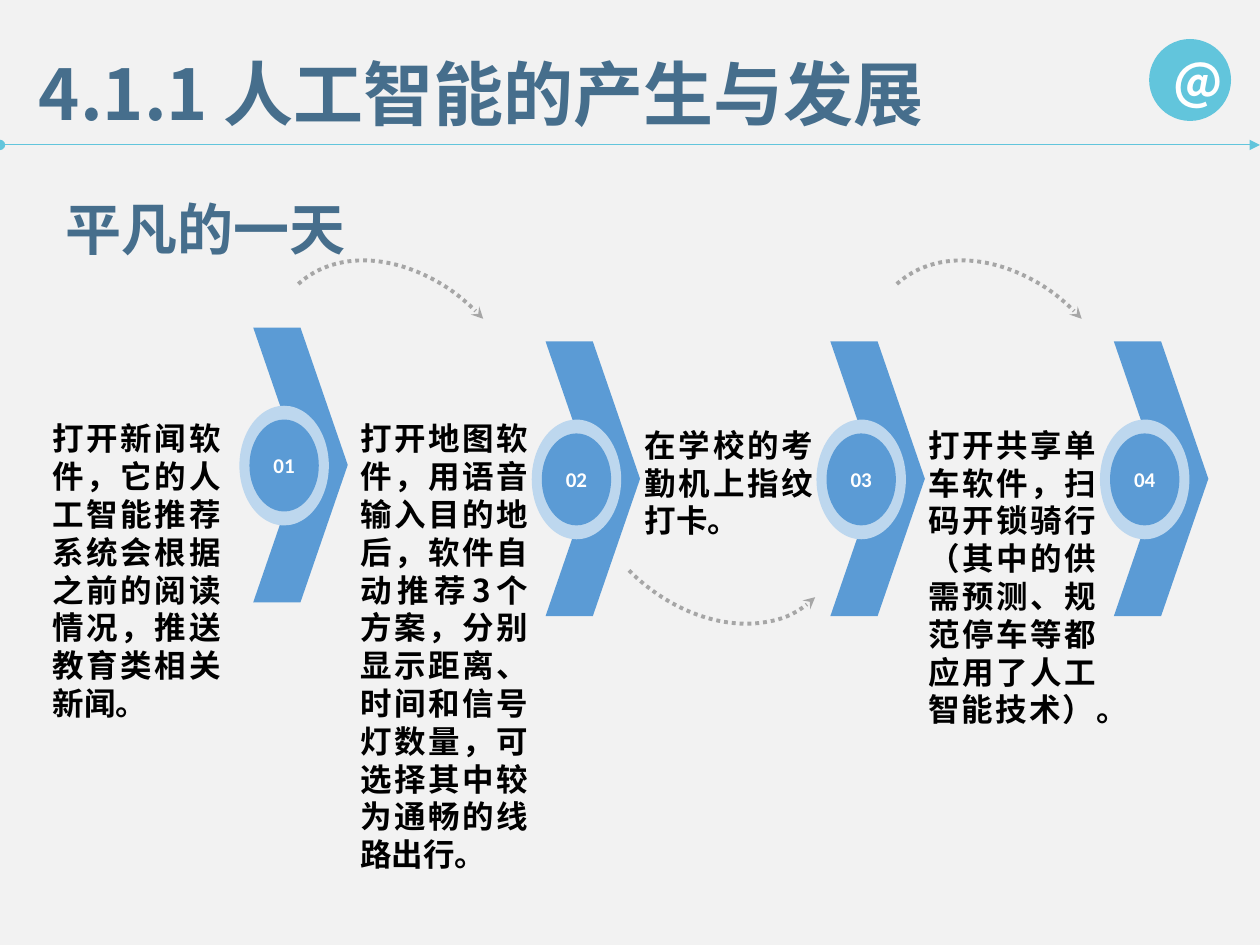
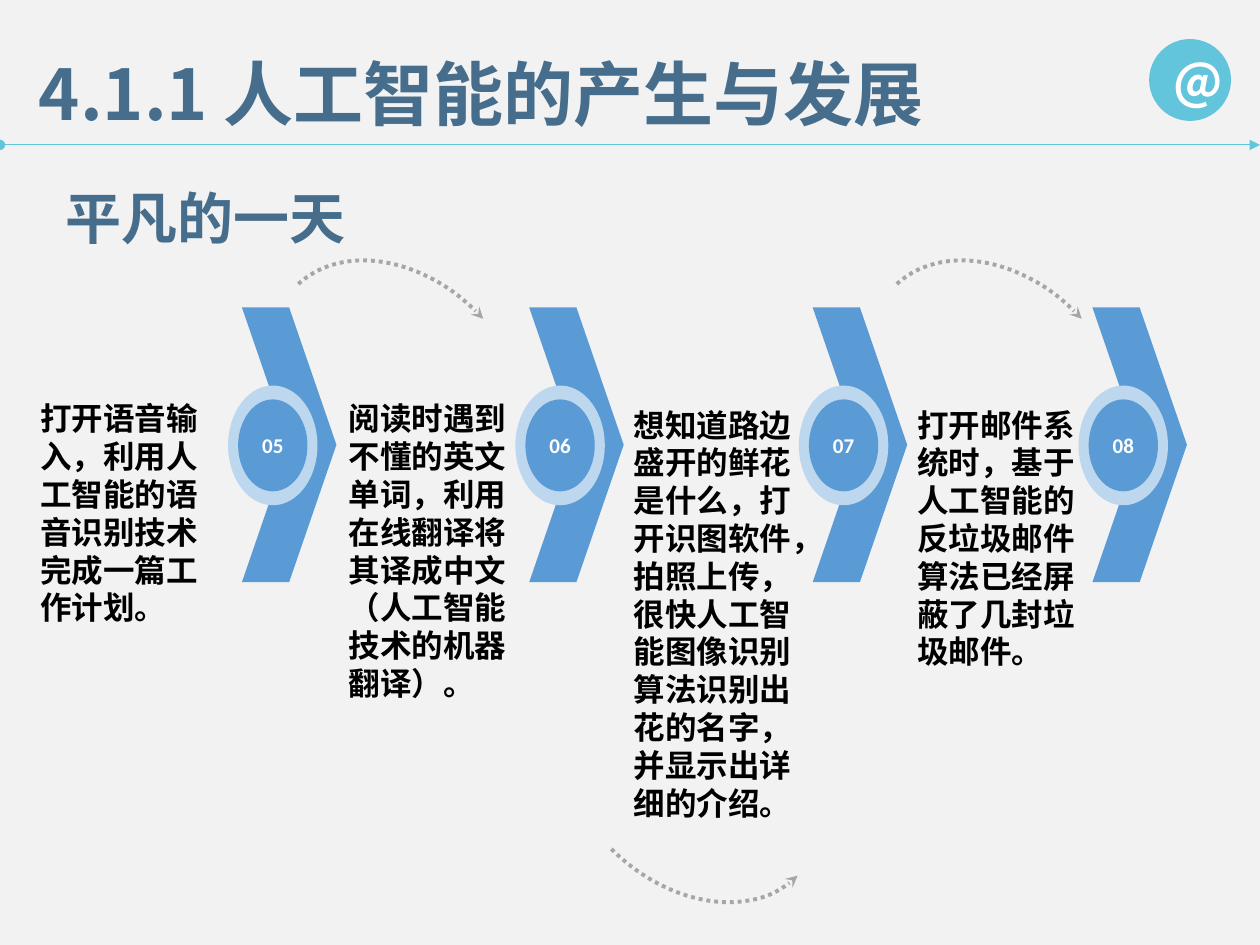
from lxml.etree import SubElement
from pptx import Presentation
from pptx.dml.color import RGBColor
from pptx.enum.dml import MSO_LINE
from pptx.enum.shapes import MSO_CONNECTOR, MSO_SHAPE
from pptx.enum.text import MSO_ANCHOR, MSO_AUTO_SIZE, PP_ALIGN
from pptx.oxml.ns import qn
from pptx.util import Inches, Pt

PAPER, AQUA, SLATE = "F2F2F2", "62C5DC", "466E8C"
BLUE, PALE, GREY = "5B9BD5", "BDD7EE", "A6A6A6"
WHITE, BLACK = "FFFFFF", "000000"
SANS, LATIN = "Noto Sans CJK SC", "Calibri"

HEAD = {"size": Pt(40), "bold": True, "name": SANS}
TOPIC = {"size": Pt(32), "bold": True, "name": SANS}
BODY = {"size": Pt(18), "bold": True, "name": SANS}
SIGN = {"size": Pt(28), "bold": True, "name": SANS}
LABEL = {"size": Pt(12), "bold": True, "name": LATIN}

DAYS = [
    {
        "topic": 1.23,
        "align": PP_ALIGN.JUSTIFY,
        "low": (4.43, 3),
        "steps": [
            ("01", 2.01, 2.6, 0.32, 3.28, 2.52,
             "打开新闻软件，它的人工智能推荐系统会根据之前的阅读情况，推送教育类相关新闻。"),
            ("02", 4.33, 2.71, 2.76, 3.28, 3.73,
             "打开地图软件，用语音输入目的地后，软件自动推荐3个方案，分别显示距离、"
             "时间和信号灯数量，可选择其中较为通畅的线路出行。"),
            ("03", 6.59, 2.71, 5.02, 3.33, 1.01,
             "在学校的考勤机上指纹打卡。"),
            ("04", 8.84, 2.71, 7.27, 3.33, 2.52,
             "打开共享单车软件，扫码开锁骑行（其中的供需预测、规范停车等都应用了人工智能技术）。"),
        ],
    },
    {
        "topic": 1.14,
        "align": PP_ALIGN.LEFT,
        "low": (4.29, 5.21),
        "steps": [
            ("05", 1.92, 2.44, 0.22, 3.12, 1.92,
             "打开语音输入，利用人工智能的语音识别技术完成一篇工作计划。"),
            ("06", 4.2, 2.44, 2.67, 3.12, 2.52,
             "阅读时遇到不懂的英文单词，利用在线翻译将其译成中文（人工智能技术的机器翻译）。"),
            ("07", 6.45, 2.44, 4.93, 3.17, 3.43,
             "想知道路边盛开的鲜花是什么，打开识图软件，拍照上传，"
             "很快人工智能图像识别算法识别出花的名字，并显示出详细的介绍。"),
            ("08", 8.67, 2.44, 7.18, 3.17, 2.22,
             "打开邮件系统时，基于人工智能的反垃圾邮件算法已经屏蔽了几封垃圾邮件。"),
        ],
    },
]


def tint(form, code):
    """Give a fill or line format a solid colour."""
    form.solid()
    form.fore_color.rgb = RGBColor.from_string(code)


def write(shape, text, style, code, align):
    """Write one styled paragraph into a shape and return it."""
    para = shape.text_frame.paragraphs[0]
    para.alignment = align
    run = para.add_run()
    run.text = text
    for key, value in style.items():
        setattr(run.font, key, value)
    tint(run.font.fill, code)
    SubElement(run.font._element, qn("a:ea"), typeface=style["name"])
    return para


def note(slide, box, text, style, code, align=PP_ALIGN.LEFT, grow=True):
    """Add a wrapping text box and return its paragraph."""
    shape = slide.shapes.add_textbox(*map(Inches, box))
    frame = shape.text_frame
    frame.word_wrap = True
    frame.auto_size = MSO_AUTO_SIZE.SHAPE_TO_FIT_TEXT if grow else MSO_AUTO_SIZE.NONE
    return write(shape, text, style, code, align)


def solid(shapes, kind, box, code):
    """Add a flat filled shape without an outline."""
    shape = shapes.add_shape(kind, *map(Inches, box))
    shape.shadow.inherit = False
    tint(shape.fill, code)
    shape.line.fill.background()
    return shape


def badge(shapes, box, code, text, style):
    """Add a filled oval with centred white text."""
    shape = solid(shapes, MSO_SHAPE.OVAL, box, code)
    shape.text_frame.vertical_anchor = MSO_ANCHOR.MIDDLE
    write(shape, text, style, WHITE, PP_ALIGN.CENTER)


def tips(line, **ends):
    """Put arrowheads on a line."""
    for end, kind in ends.items():
        SubElement(line._get_or_add_ln(), qn(f"a:{end}End"), type=kind)


def arc(slide, box, turn, flip=False):
    """Add a dotted curved arrow."""
    shape = slide.shapes.add_shape(MSO_SHAPE.ARC, *map(Inches, box))
    shape.shadow.inherit = False
    shape.rotation = turn
    if flip:
        shape._element.spPr.xfrm.set("flipH", "1")
    shape.fill.background()
    tint(shape.line.fill, GREY)
    for key, value in {"width": Pt(2.25), "dash_style": MSO_LINE.ROUND_DOT}.items():
        setattr(shape.line, key, value)
    tips(shape.line, tail="stealth")


def step(slide, label, left, top):
    """Add a chevron with its numbered ring."""
    solid(slide.shapes, MSO_SHAPE.CHEVRON, (left, top, 0.75, 2.18), BLUE)
    group = slide.shapes.add_group_shape().shapes
    solid(group, MSO_SHAPE.OVAL, (left - 0.11, top + 0.62, 0.71, 0.95), PALE)
    badge(group, (left - 0.03, top + 0.73, 0.55, 0.73), BLUE, label, LABEL)


def base(deck):
    """Add a slide with the shared title, rule and sign."""
    slide = deck.slides.add_slide(deck.slide_layouts[6])
    tint(slide.background.fill, PAPER)
    ends = map(Inches, (0, 1.15, 10, 1.15))
    rule = slide.shapes.add_connector(MSO_CONNECTOR.STRAIGHT, *ends)
    tint(rule.line.fill, AQUA)
    rule.line.width = Pt(0.5)
    tips(rule.line, head="oval", tail="triangle")
    SubElement(rule._element.spPr, qn("a:effectLst"))
    badge(slide.shapes, (9.12, 0.31, 0.65, 0.65), AQUA, "@", SIGN)
    note(slide, (0.21, 0.35, 7.52, 0.77), "4.1.1 人工智能的产生与发展", HEAD, SLATE)
    return slide


def build(deck, day):
    """Build one slide of four steps."""
    slide = base(deck)
    topic = note(slide, (0.42, day["topic"], 6.2, 0.91), "平凡的一天",
                 TOPIC, SLATE, grow=False)
    topic.line_spacing = 1.5
    for label, left, top, edge, head, tall, text in day["steps"]:
        step(slide, label, left, top)
        note(slide, (edge, head, 1.53, tall), text, BODY, BLACK, day["align"])
    for left in (2.28, 7.03):
        arc(slide, (left, 1.94, 1.79, 2.39), 317.5)
    arc(slide, (*day["low"], 2.39, 1.79), 225, flip=True)


def main():
    """Build and save the deck."""
    deck = Presentation()
    deck.slide_width, deck.slide_height = Inches(10), Inches(7.5)
    for day in DAYS:
        build(deck, day)
    deck.save("out.pptx")


if __name__ == "__main__":
    main()
